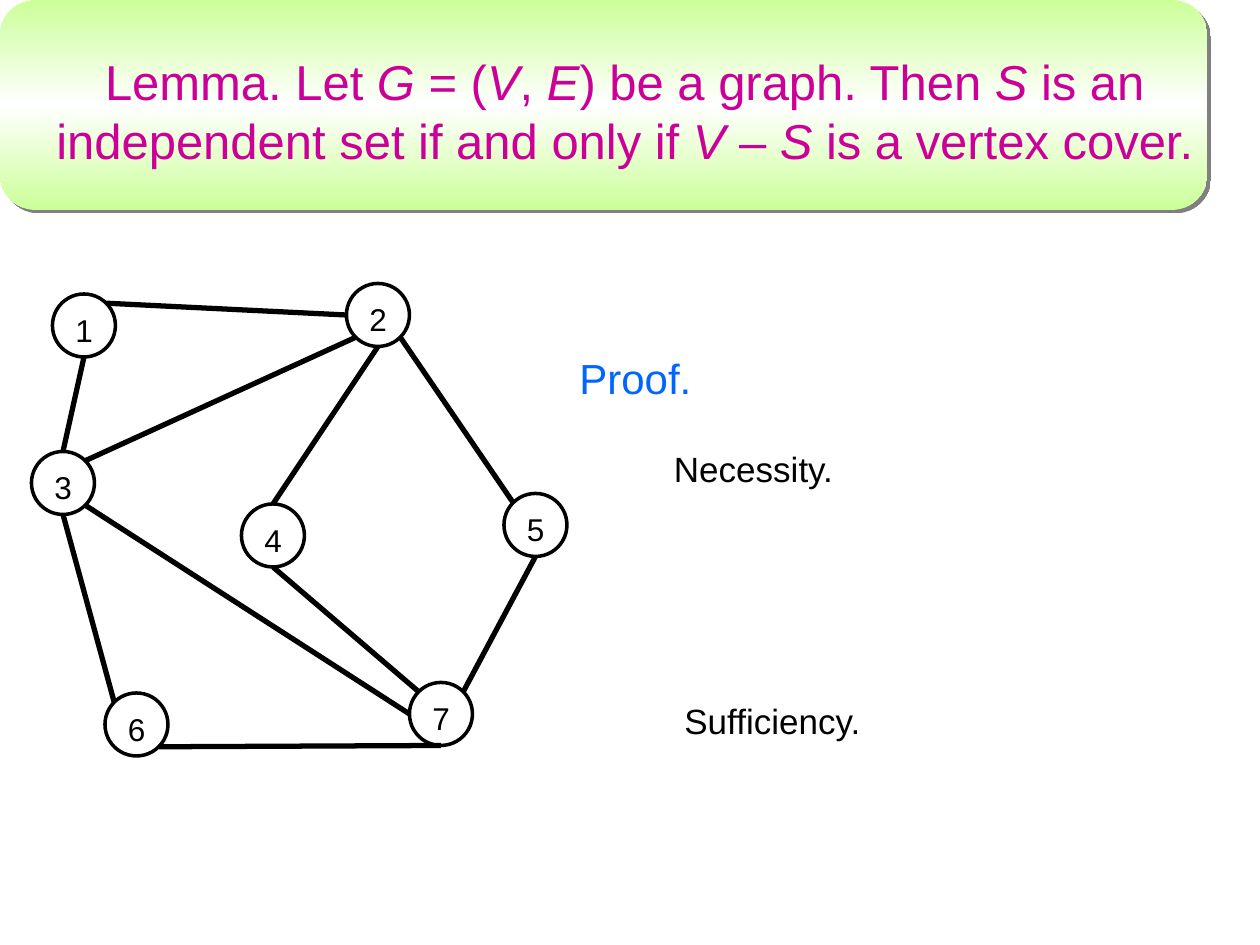
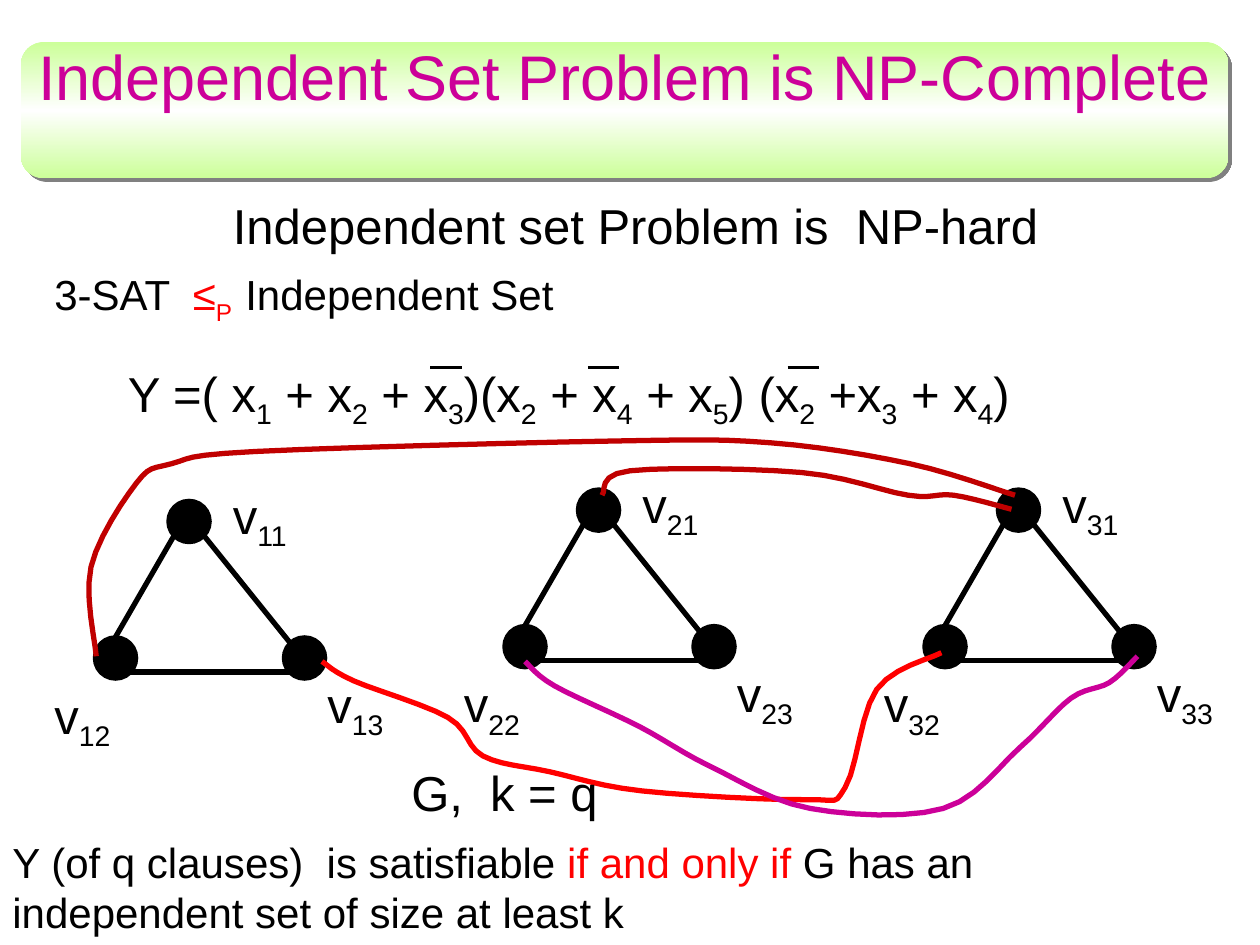
from math import cos, radians, sin

from lxml import etree
from pptx import Presentation
from pptx.dml.color import RGBColor as RGB
from pptx.enum.shapes import MSO_CONNECTOR as CXN, MSO_SHAPE as SHAPE
from pptx.enum.text import MSO_ANCHOR as ANCHOR, MSO_AUTO_SIZE as FIT, PP_ALIGN as ALIGN
from pptx.oxml import parse_xml
from pptx.util import Pt

THEME = {
    "font": "Arial",
    "black": "000000", "title": "CC0099", "proof": "0066FF",
    "red": "FF0000", "dark red": "C00000", "shadow": "808080",
    "band": [(0, "CCFF99"), (50, "FFFFFF"), (100, "CCFF99")],
    "title size": 36, "large": 28, "body": 24, "small": 20, "node": 18,
    "edge": 3, "outline": 2, "overline": 1.5,
}
NS = "http://schemas.openxmlformats.org/drawingml/2006/main"
TITLE_BOX = (12, 30, 690, 66)


def alternate(style, *texts):
    return [(text, style if i % 2 else "") for i, text in enumerate(texts)]


LEMMA = alternate("italic", "Lemma. Let ", "G", " = (", "V", ", ", "E", ") be a graph. Then ", "S",
                  " is an independent set if and only if ", "V", " – ", "S", " is a vertex cover.")
NODE_SIZE = 36
NODES = {"1": (30, 168), "2": (198, 162), "3": (18, 258), "4": (138, 288),
         "5": (288, 282), "7": (234, 390), "6": (60, 396)}
COMPASS = ["E", "SE", "S", "SW", "W", "NW", "N", "NE"]
EDGES = [("1", "NE", "2", "W"), ("2", "SE", "5", "NW"), ("5", "S", "7", "NE"),
         ("4", "S", "7", "NW"), ("2", "SW", "3", "NE"), ("3", "S", "6", "NW"),
         ("3", "SE", "7", "W"), ("6", "SE", "7", "S"), ("1", "S", "3", "N"),
         ("2", "S", "4", "N")]
PROOF_PARTS = [("Proof.", (324, 198, 86, 36), "body", "proof"),
               ("Necessity.", (378, 252, 106, 32), "small", "black"),
               ("Sufficiency.", (384, 396, 116, 32), "small", "black")]

NP_TITLE = [("Independent Set Problem is NP-Complete", "")]
NP_HARD = [("Independent set Problem is  NP-hard", "")]
REDUCTION = [("3-SAT ", ""), (" ≤", "red"), ("P  ", "red sub"), ("Independent Set", "")]
FORMULA = alternate("sub", "Y =( x", "1", " + x", "2", " + x", "3", ")(x", "2", " + x", "4",
                    " + x", "5", ") (x", "2", " +x", "3", " + x", "4", ")")
OVERLINES = [246, 336, 450]
CLAIM = [("Y (of q clauses)  is satisfiable ", ""), ("if and only if ", "red"),
         ("G has an independent set of size at least k", "")]
INSTANCE = [("G,  k = q", "")]

CLAUSES = {"1": (96, 286), "2": (330, 279.5), "3": (570, 279.5)}
DOT_SIZE = 24
DOTS = [(0, 0), (66, 78), (-42, 78)]
SIDES = [((3.5, 20), (-30, 78)), ((20.5, 20), (69.5, 81)), ((-21, 98), (69.5, 98))]
LABELS = {"1": (30, -12), "3": (84, 96), "2": (-72, 102)}

CURVE_STEPS = 6
CONFLICTS = [
    ("dark red", [(55, 375), (52, 324), (78, 276), (98, 265), (146, 258), (351, 252),
                  (440, 253), (520, 265), (580, 283)]),
    ("red", [(184, 378), (202, 389), (256, 410), (276, 432), (314, 441), (367, 452),
             (461, 457), (483, 450), (501, 394), (538, 373)]),
    ("title", [(300, 378), (317, 392), (365, 415), (406, 438), (463, 462), (539, 462),
               (583, 427), (612, 399), (634, 390), (650, 375)]),
    ("dark red", [(344, 283), (360, 269), (458, 270), (519, 283), (545, 283), (578, 291)]),
]


def color(name):
    return RGB.from_string(THEME[name])


def pts(values):
    return [Pt(v) for v in values]


def add_runs(p, runs, size, base="black"):
    for text, style in runs:
        r = p.add_run()
        r.text = text
        r.font.name = THEME["font"]
        r.font.size = Pt(THEME[size])
        r.font.color.rgb = color("red" if "red" in style else base)
        if "italic" in style:
            r.font.italic = True
        if "sub" in style:
            r.font._element.set("baseline", "-25000")


def add_text(slide, box, runs, size, base="black", wrap=False):
    tf = slide.shapes.add_textbox(*pts(box)).text_frame
    tf.word_wrap = wrap
    tf.auto_size = FIT.SHAPE_TO_FIT_TEXT
    add_runs(tf.paragraphs[0], runs, size, base)


def add_line(slide, start, end, width="edge"):
    line = slide.shapes.add_connector(CXN.STRAIGHT, *pts((*start, *end)))
    line.line.color.rgb = color("black")
    line.line.width = Pt(THEME[width])
    etree.SubElement(line.element.spPr, f"{{{NS}}}effectLst")


def add_circle(slide, x, y, size, filled):
    sp = slide.shapes.add_shape(SHAPE.OVAL, *pts((x, y, size, size)))
    sp.shadow.inherit = False
    if filled:
        sp.fill.solid()
        sp.fill.fore_color.rgb = color("black")
    else:
        sp.fill.background()
    sp.line.color.rgb = color("black")
    sp.line.width = Pt(THEME["outline"])


def spline(a, b, c, d, t):
    return b + t / 2 * (c - a + t * (2 * a - 5 * b + 4 * c - d + t * (3 * (b - c) + d - a)))


def smooth(points):
    padded = [points[0], *points, points[-1]]
    for window in zip(padded, padded[1:], padded[2:], padded[3:]):
        for step in range(CURVE_STEPS):
            yield [spline(*axis, step / CURVE_STEPS) for axis in zip(*window)]
    yield points[-1]


def add_curve(slide, name, points):
    first, *rest = [pts(point) for point in smooth(points)]
    builder = slide.shapes.build_freeform(*first)
    builder.add_line_segments(rest, close=False)
    sp = builder.convert_to_shape()
    sp.shadow.inherit = False
    sp.fill.background()
    sp.line.color.rgb = color(name)
    sp.line.width = Pt(THEME["edge"])


def add_band(slide, box):
    band = slide.shapes.add_shape(SHAPE.ROUNDED_RECTANGLE, *pts(box))
    band.adjustments[0] = 0.17
    band.line.fill.background()
    band.shadow.inherit = False
    stops = "".join(f'<a:gs pos="{pos * 1000}"><a:srgbClr val="{rgb}"/></a:gs>'
                    for pos, rgb in THEME["band"])
    spPr = band.element.spPr
    spPr.find(f"{{{NS}}}prstGeom").addnext(parse_xml(
        f'<a:gradFill xmlns:a="{NS}" rotWithShape="1"><a:gsLst>{stops}</a:gsLst>'
        '<a:lin ang="5400000" scaled="0"/></a:gradFill>'))
    spPr.find(f"{{{NS}}}effectLst").append(parse_xml(
        f'<a:outerShdw xmlns:a="{NS}" dist="{Pt(2.8)}" dir="2700000" algn="ctr" '
        f'rotWithShape="0"><a:srgbClr val="{THEME["shadow"]}"/></a:outerShdw>'))
    return band


def titled_slide(prs, band_box, runs, size):
    slide = prs.slides.add_slide(prs.slide_layouts[5])
    title = slide.shapes.title
    title.left, title.top, title.width, title.height = pts(TITLE_BOX)
    add_band(slide, band_box).element.addnext(title.element)
    tf = title.text_frame
    tf.word_wrap = True
    tf.auto_size = FIT.NONE
    tf.vertical_anchor = ANCHOR.MIDDLE
    tf.paragraphs[0].alignment = ALIGN.CENTER
    add_runs(tf.paragraphs[0], runs, size, "title")
    return slide


def rim(node, side):
    x, y = NODES[node]
    radius, angle = NODE_SIZE / 2, radians(45 * COMPASS.index(side))
    return x + radius * (1 + cos(angle)), y + radius * (1 + sin(angle))


def build_lemma(prs):
    slide = titled_slide(prs, (0, 0, 690, 120), LEMMA, "large")
    for name, (x, y) in NODES.items():
        add_circle(slide, x, y, NODE_SIZE, False)
        add_text(slide, (x + 6, y + 6, 24.5, 29), [(name, "")], "node")
    for a, a_side, b, b_side in EDGES:
        add_line(slide, rim(a, a_side), rim(b, b_side))
    for text, box, size, name in PROOF_PARTS:
        add_text(slide, box, [(text, "")], size, name)


def build_reduction(prs):
    slide = titled_slide(prs, (12, 24, 690, 78), NP_TITLE, "title size")
    tf = slide.shapes.title.text_frame
    tf.margin_top, tf.margin_bottom = pts((0, 39.4))
    add_text(slide, (126, 108, 480, 41), NP_HARD, "large")
    add_text(slide, (24, 150, 315, 36), REDUCTION, "body")
    add_text(slide, (66, 204, 560, 42), FORMULA, "large", wrap=True)
    for x in OVERLINES:
        add_line(slide, (x, 210), (x + 18, 210), "overline")
    add_text(slide, (0, 474.5, 696, 65.5), CLAIM, "body", wrap=True)
    for clause, (x, y) in CLAUSES.items():
        for dx, dy in DOTS:
            add_circle(slide, x + dx, y + dy, DOT_SIZE, True)
        for (x1, y1), (x2, y2) in SIDES:
            add_line(slide, (x + x1, y + y1), (x + x2, y + y2))
        for literal, (dx, dy) in LABELS.items():
            add_text(slide, (x + dx, y + dy, 49.5, 41),
                     [("v", ""), (clause + literal, "sub")], "large")
    for name, points in CONFLICTS:
        add_curve(slide, name, points)
    add_text(slide, (228, 432, 122, 41), INSTANCE, "large")


def main():
    prs = Presentation()
    prs.slide_width, prs.slide_height = Pt(720), Pt(540)
    build_lemma(prs)
    build_reduction(prs)
    prs.save("out.pptx")


if __name__ == "__main__":
    main()
